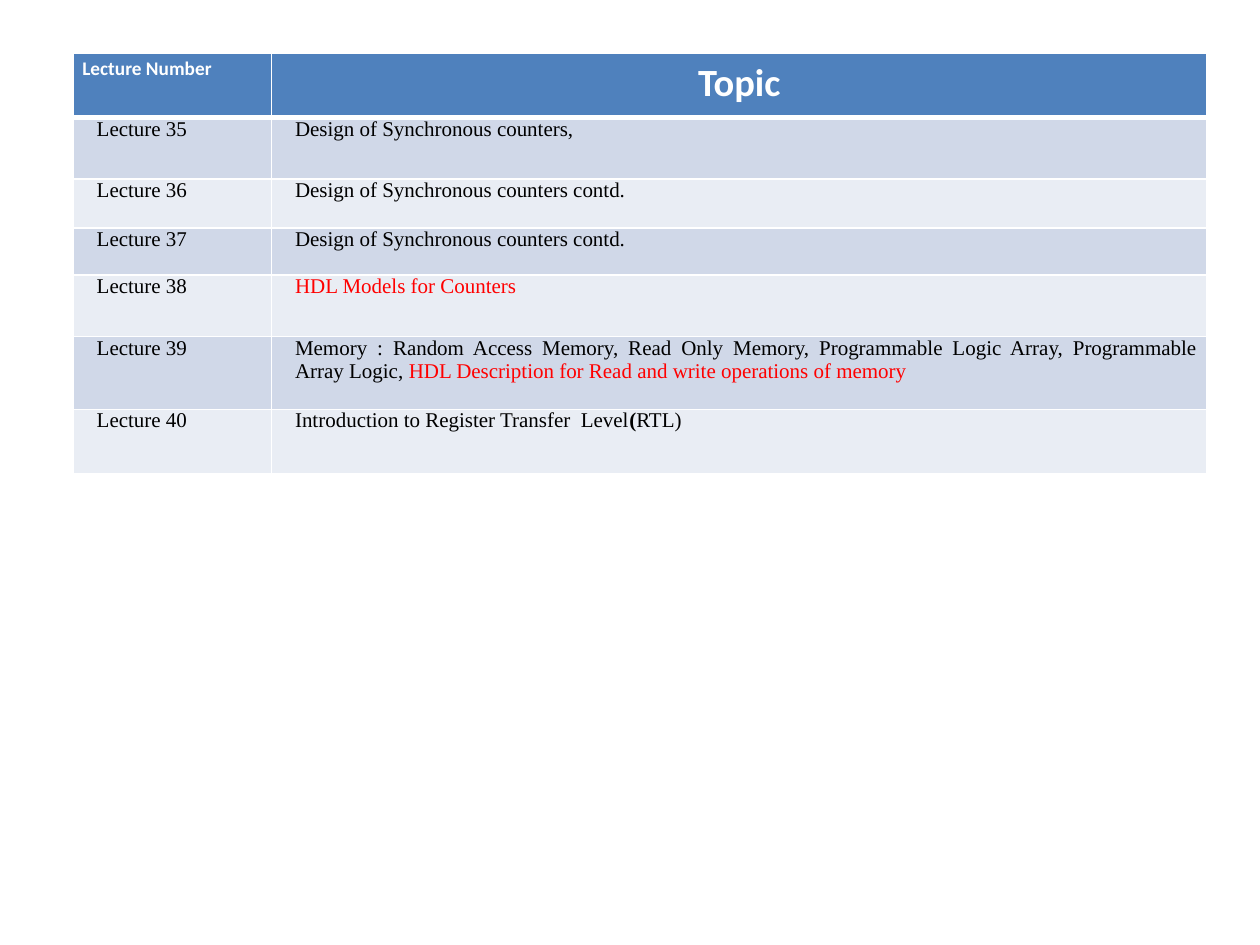
from lxml.etree import SubElement
from pptx import Presentation
from pptx.dml.color import RGBColor
from pptx.enum.text import PP_ALIGN as Align
from pptx.oxml.ns import qn
from pptx.util import Cm, Pt

WHITE = RGBColor(0xFF, 0xFF, 0xFF)
BLACK = RGBColor(0, 0, 0)
RED = RGBColor(0xFF, 0, 0)
HEADER_BLUE = RGBColor(0x4F, 0x81, 0xBD)
BANDS = (RGBColor(0xD0, 0xD8, 0xE8), RGBColor(0xE9, 0xED, 0xF4))

HEADINGS = (("Lecture Number", 11, Align.LEFT), ("Topic", 22, Align.CENTER))
FIRST_LECTURE = 35
TOPICS = (
    [("Design of Synchronous counters, ", BLACK, False)],
    [("Design of Synchronous counters contd.", BLACK, False)],
    [("Design of Synchronous counters contd.", BLACK, False)],
    [("HDL Models for Counters", RED, False)],
    [("Memory : Random Access Memory, Read Only Memory, Programmable Logic Array, "
      "Programmable Array Logic, ", BLACK, False),
     ("HDL Description for Read and write operations of memory", RED, False)],
    [("Introduction to Register Transfer  Level", BLACK, False),
     ("(", BLACK, True),
     ("RTL)", BLACK, False)],
)
ROW_HEIGHTS = (1.3, 1.24, 0.99, 0.94, 1.24, 1.47, 1.3)
LECTURE_SHARE = 0.175


def style_cell(cell, color, bottom_width=1):
    cell.margin_left = cell.margin_right = Cm(0.18)
    cell.margin_top = cell.margin_bottom = 0
    properties = cell._tc.get_or_add_tcPr()
    for side, width in (("L", 1), ("R", 1), ("T", 1), ("B", bottom_width)):
        border = SubElement(properties, qn(f"a:ln{side}"), w=str(Pt(width)))
        line_fill = SubElement(border, qn("a:solidFill"))
        SubElement(line_fill, qn("a:srgbClr"), val=str(WHITE))
    cell.fill.solid()
    cell.fill.fore_color.rgb = color


def write_heading(cell, heading, size, alignment):
    style_cell(cell, HEADER_BLUE, bottom_width=3)
    paragraph = cell.text_frame.paragraphs[0]
    paragraph.text = heading
    paragraph.alignment = alignment
    paragraph.line_spacing = 1.15
    font = paragraph.font
    font.name, font.size, font.bold = "Calibri", Pt(size), True
    font.color.rgb = WHITE


def write_entry(cell, parts, alignment, band):
    style_cell(cell, band)
    paragraph = cell.text_frame.paragraphs[0]
    paragraph.alignment = alignment
    paragraph._p.get_or_add_pPr().set("marL", str(Cm(0.29)))
    paragraph.font.name, paragraph.font.size = "Times New Roman", Pt(12)
    for text, color, bold in parts:
        run = paragraph.add_run()
        run.text = text
        run.font.bold = bold
        run.font.color.rgb = color


def add_lecture_plan(slide, left, top, width):
    height = Cm(sum(ROW_HEIGHTS))
    plan = slide.shapes.add_table(len(TOPICS) + 1, 2, left, top, width, height).table
    plan.columns[0].width = int(width * LECTURE_SHARE)
    plan.columns[1].width = width - plan.columns[0].width
    for row, row_height in zip(plan.rows, ROW_HEIGHTS):
        row.height = Cm(row_height)
    for column, heading in enumerate(HEADINGS):
        write_heading(plan.cell(0, column), *heading)
    for index, topic in enumerate(TOPICS):
        band = BANDS[index % 2]
        lecture = [(f"Lecture {FIRST_LECTURE + index}", BLACK, False)]
        write_entry(plan.cell(index + 1, 0), lecture, Align.LEFT, band)
        write_entry(plan.cell(index + 1, 1), topic, Align.JUSTIFY, band)


presentation = Presentation()
presentation.slide_width, presentation.slide_height = Cm(25.4), Cm(19.05)
lecture_slide = presentation.slides.add_slide(presentation.slide_layouts[6])
add_lecture_plan(lecture_slide, Cm(1.48), Cm(1.07), Cm(22.85))
presentation.save("out.pptx")
